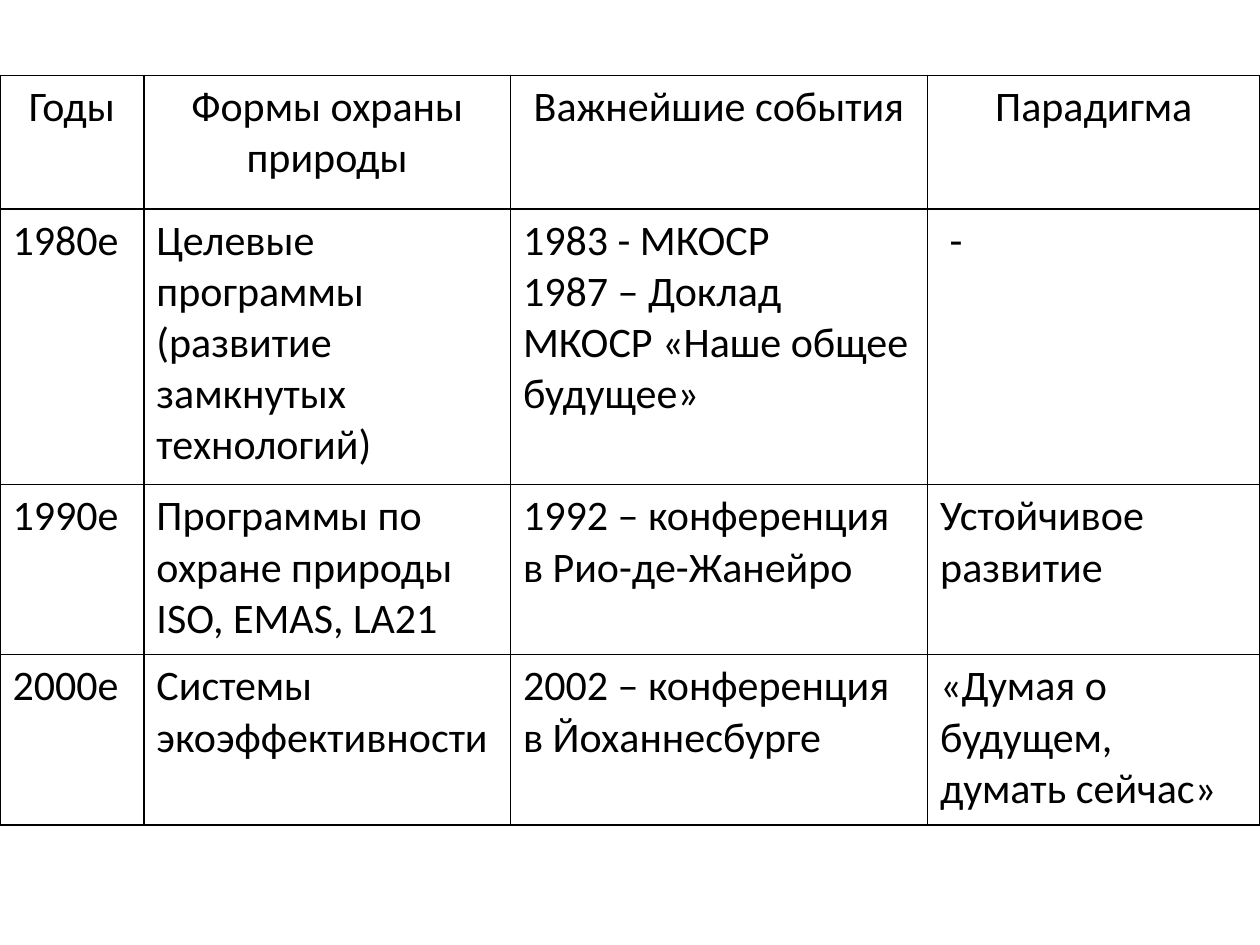
from lxml.etree import SubElement
from pptx import Presentation
from pptx.dml.color import RGBColor
from pptx.enum.text import PP_ALIGN
from pptx.oxml.ns import qn
from pptx.util import Cm, Pt

BLACK = RGBColor(0, 0, 0)
COLUMN_WIDTHS = [2.9, 7.39, 8.41, 6.7]
ROW_HEIGHTS = [2.69, 5.56, 3.43, 3.43]
ROWS = [
    ["Годы", "Формы охраны природы", "Важнейшие события", "Парадигма"],
    ["1980е", "Целевые программы (развитие замкнутых технологий)",
     "1983 - МКОСР\n1987 – Доклад МКОСР «Наше общее будущее»", " -"],
    ["1990е", "Программы по охране природы\nISO, EMAS, LA21",
     "1992 – конференция в Рио-де-Жанейро", "Устойчивое развитие"],
    ["2000е", "Системы экоэффективности", "2002 – конференция в Йоханнесбурге",
     "«Думая о\nбудущем,\nдумать сейчас»"],
]


class SlideBuilder:
    font = "Calibri"
    size = Pt(24)
    color = BLACK
    border_width = Pt(1)

    def __init__(self, page):
        self.page = page

    def add_table(self, left, top, widths, heights, rows):
        frame = self.page.shapes.add_table(
            len(heights), len(widths), Cm(left), Cm(top),
            Cm(sum(widths)), Cm(sum(heights)))
        table = frame.table
        table.first_row = False
        table.horz_banding = False
        for column, width in zip(table.columns, widths):
            column.width = Cm(width)
        for row, height in zip(table.rows, heights):
            row.height = Cm(height)
        for row_index, texts in enumerate(rows):
            alignment = PP_ALIGN.CENTER if row_index == 0 else PP_ALIGN.LEFT
            for column_index, text in enumerate(texts):
                self.fill_cell(table.cell(row_index, column_index), text, alignment)

    def fill_cell(self, cell, text, alignment):
        cell.text_frame.text = text
        for para in cell.text_frame.paragraphs:
            para.alignment = alignment
            for span in para.runs:
                span.font.name = self.font
                span.font.size = self.size
                span.font.color.rgb = self.color
        cell.fill.background()
        self.add_borders(cell)

    def add_borders(self, cell):
        """Draw all four sides; the schema wants them ahead of the cell fill."""
        properties = cell._tc.get_or_add_tcPr()
        for position, side in enumerate(("lnL", "lnR", "lnT", "lnB")):
            line = SubElement(properties, qn(f"a:{side}"), w=str(self.border_width))
            fill = SubElement(line, qn("a:solidFill"))
            SubElement(fill, qn("a:srgbClr"), val=str(self.color))
            properties.insert(position, line)


def main():
    deck = Presentation()
    deck.slide_width = Cm(25.4)
    deck.slide_height = Cm(19.05)
    blank_layout = deck.slide_layouts[6]
    builder = SlideBuilder(deck.slides.add_slide(blank_layout))
    builder.add_table(0, 1.52, COLUMN_WIDTHS, ROW_HEIGHTS, ROWS)
    deck.save("out.pptx")


if __name__ == "__main__":
    main()
